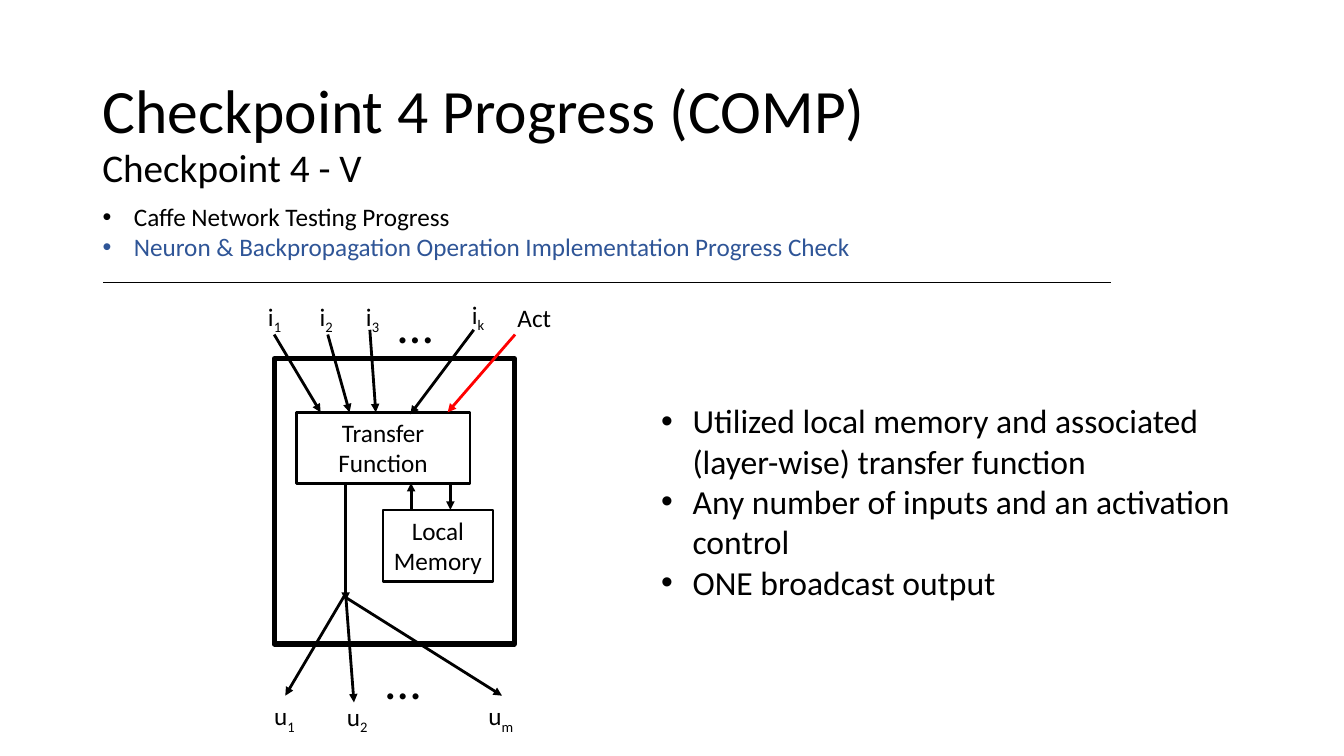
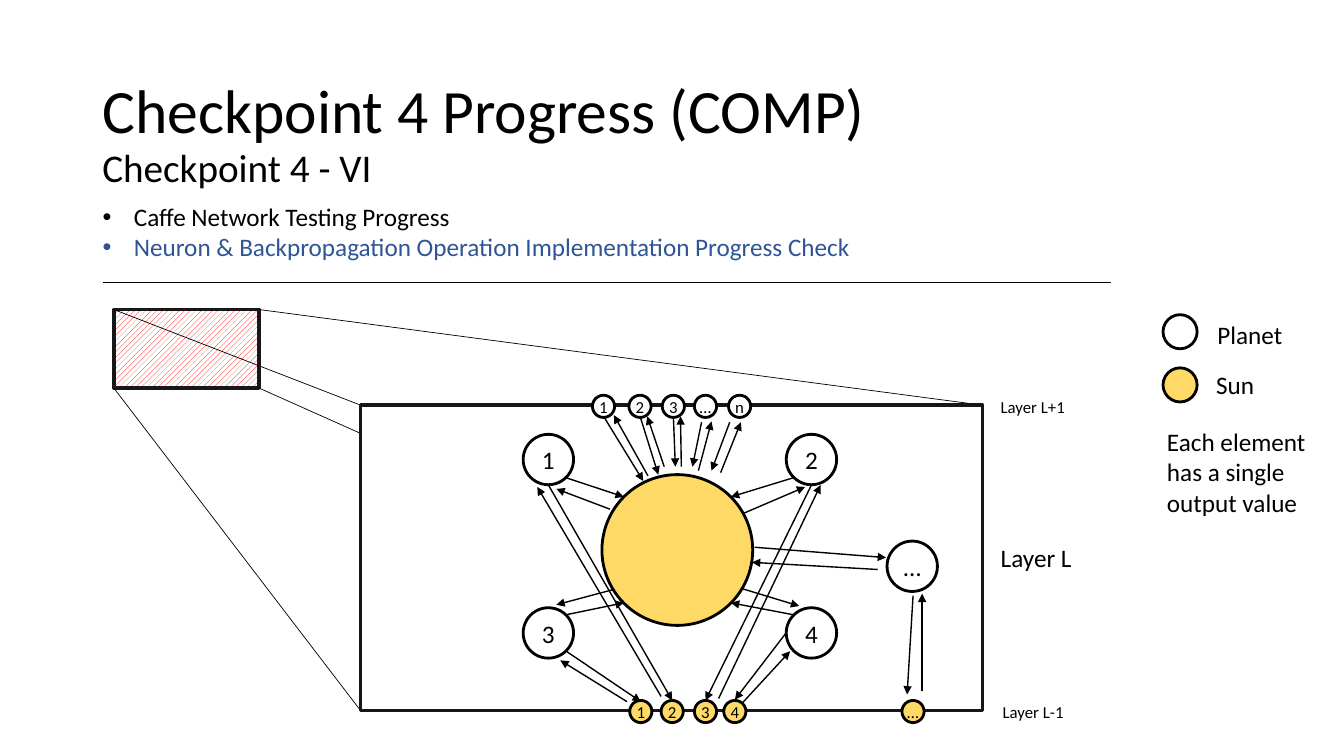
from lxml.etree import SubElement
from pptx import Presentation
from pptx.dml.color import RGBColor
from pptx.enum.dml import MSO_PATTERN
from pptx.enum.shapes import MSO_CONNECTOR, MSO_SHAPE
from pptx.enum.text import MSO_ANCHOR, MSO_AUTO_SIZE, PP_ALIGN
from pptx.oxml.ns import qn
from pptx.util import Cm, Pt

# Shared style
FONT = "Calibri"
BLACK = RGBColor(0x00, 0x00, 0x00)
WHITE = RGBColor(0xFF, 0xFF, 0xFF)
RED = RGBColor(0xFF, 0x00, 0x00)
BLUE = RGBColor(0x2F, 0x55, 0x97)
GOLD = RGBColor(0xFF, 0xD9, 0x66)
CHARCOAL = RGBColor(0x18, 0x17, 0x17)

TITLE = "Checkpoint 4 Progress (COMP)"
AGENDA = [
    ("Caffe Network Testing Progress", BLACK),
    ("Neuron & Backpropagation Operation Implementation Progress Check", BLUE),
]
BULLET_INDENT = Cm(0.79)
TWO_CONTENT, TITLE_AND_CONTENT = 3, 1  # layout numbers in the template

# Arrows of the layer diagram: x and y of the start, x and y of the end
PLANET_SUN_ARROWS = [
    (14.27, 12.04, 15.72, 12.52), (15.37, 12.83, 14.02, 12.32),
    (14.27, 15.49, 15.72, 15.19), (15.44, 14.86, 14.02, 15.24),
    (19.99, 12.04, 18.42, 12.52), (18.75, 12.93, 20.29, 12.27),
    (19.99, 15.49, 18.42, 15.19), (18.69, 14.83, 20.14, 15.27),
    (19.02, 13.79, 22.33, 14.05), (22.12, 14.35, 18.95, 14.17),
]
UPPER_LAYER_ARROWS = [
    (15.21, 10.49, 16.21, 12.12), (16.33, 11.99, 15.47, 10.46),
    (16.13, 10.49, 16.59, 11.96), (16.74, 11.76, 16.31, 10.49),
    (16.97, 10.49, 17.02, 11.76), (17.17, 11.76, 17.15, 10.49),
    (17.68, 10.64, 17.45, 11.76), (17.6, 11.86, 17.93, 10.62),
    (18.39, 10.64, 17.93, 11.86), (18.16, 11.91, 18.67, 10.64),
]
LOWER_LAYER_ARROWS = [
    (14.27, 16.41, 16.15, 17.68), (15.8, 17.68, 14.12, 16.64),
    (13.82, 12.22, 16.94, 17.65), (16.66, 17.55, 13.54, 12.27),
    (20.45, 12.22, 17.78, 17.65), (18.11, 17.6, 20.68, 12.22),
    (19.81, 15.95, 18.52, 17.63), (18.72, 17.7, 19.91, 16.41),
    (23.01, 15.01, 22.86, 17.5), (23.24, 17.42, 23.24, 14.96),
]


# Text
def add_span(para, text, size, color=BLACK, subscript=False):
    span = para.add_run()
    span.text = text
    span.font.name = FONT
    span.font.size = Pt(size)
    span.font.color.rgb = color
    if subscript:
        span.font._element.set("baseline", "-25000")


def place(box, left, top, width, height):
    box.left, box.top = Cm(left), Cm(top)
    box.width, box.height = Cm(width), Cm(height)


def fill_heading(box, text, size):
    frame = box.text_frame
    frame.word_wrap = True
    frame.auto_size = MSO_AUTO_SIZE.NONE
    frame.vertical_anchor = MSO_ANCHOR.MIDDLE
    para = frame.paragraphs[0]
    para.alignment = PP_ALIGN.LEFT
    para.line_spacing = 0.9
    add_span(para, text, size)


def fill_list(box, items, size):
    frame = box.text_frame
    frame.word_wrap = True
    frame.auto_size = MSO_AUTO_SIZE.NONE
    for number, (text, color) in enumerate(items):
        para = frame.add_paragraph() if number else frame.paragraphs[0]
        para.space_before = Pt(0)
        add_span(para, text, size, color)
        props = para._p.get_or_add_pPr()
        props.set("marL", str(BULLET_INDENT))
        props.set("indent", str(-BULLET_INDENT))
        SubElement(props, qn("a:buFont")).set("typeface", "Arial")
        SubElement(props, qn("a:buChar")).set("char", "•")


def add_label(shapes, text, left, top, width, height=1.02, size=18,
              subscript="", align=PP_ALIGN.LEFT):
    box = shapes.add_textbox(Cm(left), Cm(top), Cm(width), Cm(height))
    box.text_frame.word_wrap = True
    para = box.text_frame.paragraphs[0]
    para.alignment = align
    add_span(para, text, size)
    if subscript:
        add_span(para, subscript, size, subscript=True)


# Lines and shapes
def add_line(shapes, x1, y1, x2, y2, width=0.5, color=BLACK, arrow=False):
    line = shapes.add_connector(
        MSO_CONNECTOR.STRAIGHT, Cm(x1), Cm(y1), Cm(x2), Cm(y2))
    line.line.color.rgb = color
    line.line.width = Pt(width)
    if arrow:
        SubElement(line.line._get_or_add_ln(), qn("a:tailEnd")).set("type", "triangle")
    SubElement(line._element.spPr, qn("a:effectLst"))


def add_outline(shapes, kind, left, top, width, height, line_width,
                fill=None, color=BLACK):
    shape = shapes.add_shape(kind, Cm(left), Cm(top), Cm(width), Cm(height))
    shape.shadow.inherit = False
    shape.line.color.rgb = color
    shape.line.width = Pt(line_width)
    if fill is None:
        shape.fill.background()
    else:
        shape.fill.solid()
        shape.fill.fore_color.rgb = fill
    return shape


def add_block(shapes, text, left, top, width, height):
    block = add_outline(shapes, MSO_SHAPE.RECTANGLE, left, top, width, height, 1.75)
    block.text_frame.word_wrap = True
    block.text_frame.vertical_anchor = MSO_ANCHOR.TOP
    para = block.text_frame.paragraphs[0]
    para.alignment = PP_ALIGN.CENTER
    add_span(para, text, 18)


def add_circle(shapes, center_x, center_y, diameter, fill=WHITE, text="", size=18):
    circle = add_outline(
        shapes, MSO_SHAPE.OVAL, center_x - diameter / 2, center_y - diameter / 2,
        diameter, diameter, 2, fill)
    if text:
        frame = circle.text_frame
        frame.word_wrap = True
        frame.vertical_anchor = MSO_ANCHOR.MIDDLE
        frame.margin_left = frame.margin_right = 0
        frame.margin_top = frame.margin_bottom = 0
        frame.paragraphs[0].alignment = PP_ALIGN.CENTER
        add_span(frame.paragraphs[0], text, size)


# Header that every slide carries
def add_page(deck, layout, subtitle):
    page = deck.slides.add_slide(deck.slide_layouts[layout])
    title, agenda = page.shapes.title, page.placeholders[1]
    place(title, 2.33, 1.01, 29.21, 3.68)
    fill_heading(title, TITLE, 44)
    place(agenda, 2.33, 4.95, 29.21, 1.8)
    fill_list(agenda, AGENDA, 18)
    box = page.shapes.add_textbox(Cm(2.33), Cm(3.58), Cm(29.21), Cm(1.42))
    fill_heading(box, subtitle, 28)
    add_line(page.shapes, 2.6, 7.11, 28, 7.11)
    return page


def add_neuron_page(deck):
    page = add_page(deck, TWO_CONTENT, "Checkpoint 4 - V")
    shapes = page.shapes.add_group_shape().shapes

    # Neuron frame with its two blocks
    add_outline(shapes, MSO_SHAPE.RECTANGLE, 6.91, 9.04, 6.05, 7.19, 3.75)
    add_block(shapes, "Transfer Function", 7.47, 10.39, 4.37, 1.8)
    add_block(shapes, "Local Memory", 9.65, 12.85, 2.77, 1.8)

    # Memory exchange, output trunk and branches, then inputs
    for ends in [
        (10.36, 12.85, 10.36, 12.17), (11.35, 12.17, 11.35, 12.85),
        (8.71, 12.17, 8.71, 15.14),
        (8.71, 14.96, 7.19, 17.53), (8.71, 14.96, 8.92, 17.7),
        (8.69, 15.04, 12.65, 17.53),
        (6.91, 8.43, 8.08, 10.39), (8.26, 8.43, 8.81, 10.39),
        (9.32, 8.31, 9.47, 10.39), (11.94, 8.31, 10.34, 10.44),
    ]:
        add_line(shapes, *ends, width=2, arrow=True)
    add_line(shapes, 12.98, 8.43, 11.28, 10.39, width=2, color=RED, arrow=True)

    # Input and output names
    for left, top in [(9.78, 7.26), (9.47, 16.23)]:
        add_label(shapes, "…", left, top, 0.94, 1.8, size=36)
    for name, index, left, top, width in [
        ("i", "1", 6.45, 7.47, 0.94), ("i", "2", 7.75, 7.47, 0.94),
        ("i", "3", 8.92, 7.47, 0.94), ("i", "k", 11.58, 7.42, 0.94),
        ("Act", "", 12.73, 7.49, 1.47),
        ("u", "1", 6.6, 17.53, 1.14), ("u", "2", 8.43, 17.55, 1.14),
        ("u", "m", 11.99, 17.53, 1.27),
    ]:
        add_label(shapes, name, left, top, width, subscript=index,
                  align=PP_ALIGN.CENTER)

    # Remarks
    remarks = page.placeholders[2]
    place(remarks, 16.41, 9.96, 15.72, 5.38)
    fill_list(remarks, [
        ("Utilized local memory and associated (layer-wise) transfer function", BLACK),
        ("Any number of inputs and an activation control", BLACK),
        ("ONE broadcast output", BLACK),
    ], 24)


def corners(left, top, width, height):
    return [(x, y) for y in (top, top + height) for x in (left, left + width)]


def add_layer_page(deck):
    shapes = add_page(deck, TITLE_AND_CONTENT, "Checkpoint 4 - VI").shapes

    # Hatched patch magnified into the layer panel
    patch_area = (2.87, 7.8, 3.66, 1.98)
    panel_area = (9.09, 10.21, 15.67, 7.7)
    patch = add_outline(shapes, MSO_SHAPE.RECTANGLE, *patch_area, 2.5, color=CHARCOAL)
    patch.fill.patterned()
    patch.fill.pattern = MSO_PATTERN.WIDE_UPWARD_DIAGONAL
    patch.fill.fore_color.rgb = RED
    patch.fill.back_color.rgb = WHITE
    for start, end in zip(corners(*patch_area), corners(*panel_area)):
        add_line(shapes, *start, *end)
    add_outline(shapes, MSO_SHAPE.RECTANGLE, *panel_area, 2.5, WHITE, CHARCOAL)

    # Sun, planets and the neighbouring layers
    add_circle(shapes, 17.07, 13.86, 3.8, GOLD)
    for text, x, y in [("1", 13.82, 11.58), ("2", 20.45, 11.58),
                       ("3", 13.82, 15.95), ("4", 20.45, 15.95),
                       ("…", 22.99, 14.27)]:
        add_circle(shapes, x, y, 1.27, text=text)
    for text, x in zip("123…n", (15.21, 16.13, 16.97, 17.78, 18.64)):
        add_circle(shapes, x, 10.24, 0.56, WHITE, text, 12)
    for text, x in zip("1234…", (16.15, 16.94, 17.78, 18.52, 23.01)):
        add_circle(shapes, x, 17.93, 0.56, GOLD, text, 12)
    for ends in PLANET_SUN_ARROWS + UPPER_LAYER_ARROWS + LOWER_LAYER_ARROWS:
        add_line(shapes, *ends, width=1, arrow=True)

    # Layer names
    add_label(shapes, "Layer L+1", 24.97, 9.86, 2.62, 0.76, size=12)
    add_label(shapes, "Layer L", 24.97, 13.54, 2.62)
    add_label(shapes, "Layer L-1", 25.02, 17.55, 2.62, 0.76, size=12)

    # Legend
    add_circle(shapes, 29.74, 8.36, 0.86)
    add_label(shapes, "Planet", 30.43, 7.92, 2.24)
    add_circle(shapes, 29.74, 9.7, 0.86, GOLD)
    add_label(shapes, "Sun", 30.4, 9.19, 1.55)
    add_label(shapes, "Each element has a single output value", 29.16, 10.62, 4.06, 2.57)


def main():
    deck = Presentation()
    deck.slide_width, deck.slide_height = Cm(33.87), Cm(19.05)
    add_neuron_page(deck)
    add_layer_page(deck)
    deck.save("out.pptx")


main()
